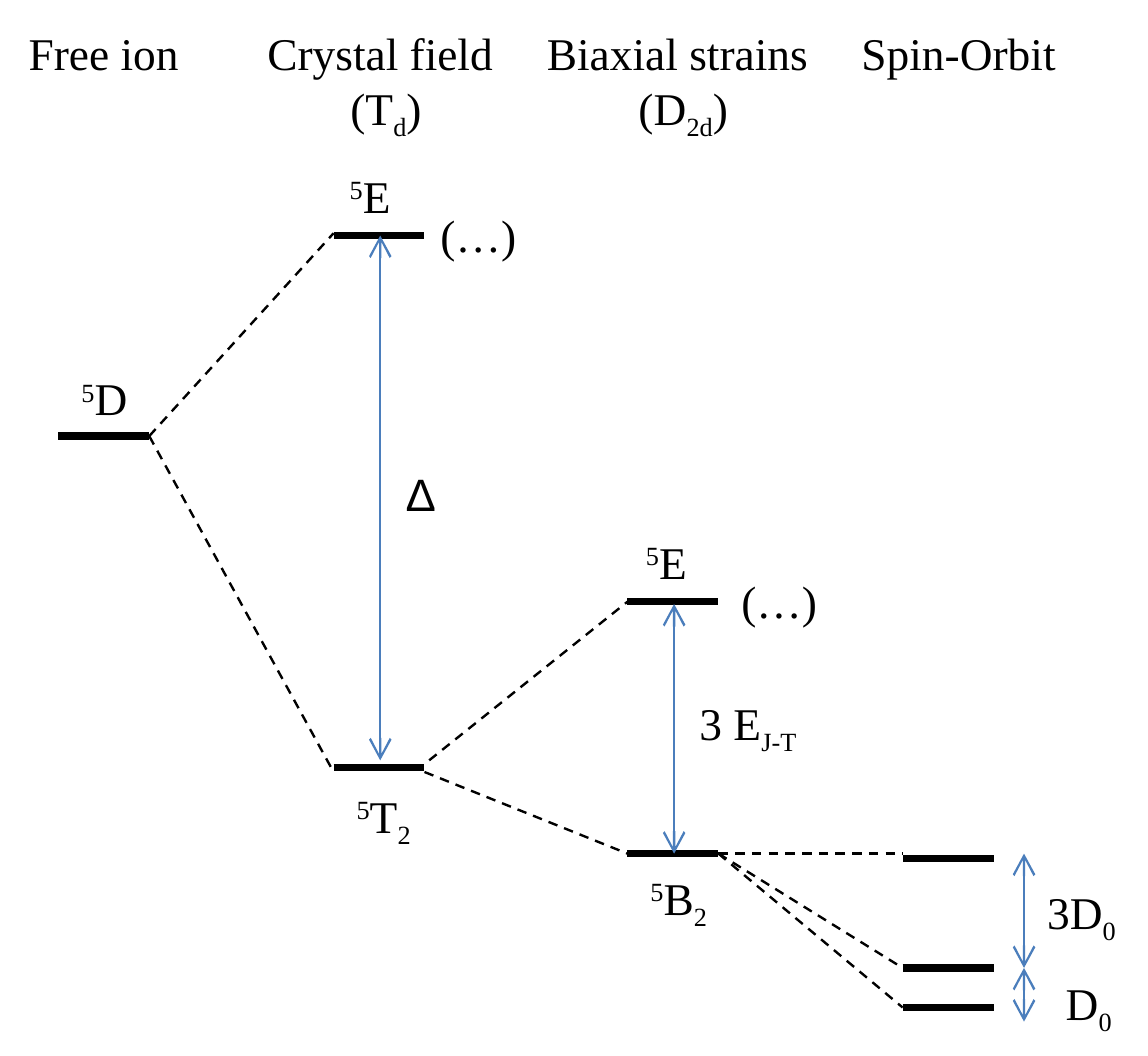
from lxml.etree import SubElement
from pptx import Presentation
from pptx.dml.color import RGBColor
from pptx.enum.dml import MSO_LINE_DASH_STYLE as DASH
from pptx.enum.shapes import MSO_CONNECTOR
from pptx.enum.text import MSO_AUTO_SIZE, PP_ALIGN
from pptx.oxml.ns import qn
from pptx.util import Cm, Inches, Pt

BLACK = RGBColor(0x00, 0x00, 0x00)
BLUE = RGBColor(0x4B, 0x7E, 0xBC)
SERIF, SANS = "Times New Roman", "Arial"
UP, DOWN = 30000, -25000
WIDTH, HEIGHT = Cm(12.5), Cm(11.5)
LEVEL_WIDTH, LINE_HEIGHT = 0.39, 0.34

# Left edge of the energy levels in each column, in inches
FREE, CRYSTAL, STRAIN, SPIN = 0.25, 1.43, 2.69, 3.87

# Energy levels: name -> (column, height on the slide)
LEVELS = {
    "D": (FREE, 1.87),
    "E crystal": (CRYSTAL, 1.01),
    "T2": (CRYSTAL, 3.29),
    "E strain": (STRAIN, 2.58),
    "B2": (STRAIN, 3.66),
    "spin top": (SPIN, 3.68),
    "spin middle": (SPIN, 4.15),
    "spin bottom": (SPIN, 4.32),
}

# Splittings: parent, child, nudge of the start (x, y), nudge of the end (y)
SPLITTINGS = [
    ("D", "E crystal", (0, 0), -0.01),
    ("D", "T2", (0, 0), 0.02),
    ("T2", "E strain", (0.02, -0.03), 0),
    ("T2", "B2", (0, 0.02), 0),
    ("B2", "spin top", (0, 0), -0.02),
    ("B2", "spin middle", (0, 0), 0),
    ("B2", "spin bottom", (0, 0), 0),
]

# Energy gaps: x, top, bottom
GAPS = [(1.63, 1.01, 3.26), (2.89, 2.59, 3.66), (4.39, 3.66, 4.15), (4.39, 4.15, 4.38)]

# Headings: left, width, lines of (text, baseline shift)
HEADINGS = [
    (0.02, 0.85, [[("Free ion", 0)]]),
    (1.04, 1.18, [[("Crystal field", 0)], [(" (T", 0), ("d", DOWN), (")", 0)]]),
    (2.24, 1.33, [[("Biaxial strains", 0)], [(" (D", 0), ("2d", DOWN), (")", 0)]]),
    (3.59, 1.04, [[("Spin-Orbit", 0)]]),
]

# Labels: left, top, width, spans of (text, baseline shift)
LABELS = [
    (1.79, 0.84, 0.53, [("(…)", 0)]),
    (3.08, 2.41, 0.53, [("(…)", 0)]),
    (4.47, 4.13, 0.41, [("D", 0), ("0", DOWN)]),
    (4.39, 3.74, 0.51, [("3D", 0), ("0", DOWN)]),
    (0.25, 1.54, 0.41, [("5", UP), ("D", 0)]),
    (1.40, 0.67, 0.39, [("5", UP), ("E", 0)]),
    (1.43, 3.33, 0.45, [("5", UP), ("T", 0), ("2", DOWN)]),
    (2.69, 3.68, 0.46, [("5", UP), ("B", 0), ("2", DOWN)]),
    (2.67, 2.24, 0.39, [("5", UP), ("E", 0)]),
    (2.90, 2.93, 0.64, [("3 E", 0), ("J-T", DOWN)]),
]
DELTA = (1.64, 1.95, 0.32, [("Δ", 0)])


def add_line(page, start, end, color, weight):
    points = [Inches(value) for value in (*start, *end)]
    line = page.shapes.add_connector(MSO_CONNECTOR.STRAIGHT, *points)
    line.line.color.rgb = color
    line.line.width = Pt(weight)
    SubElement(line._element.spPr, qn("a:effectLst"))
    return line


def add_text(page, left, top, width, height, lines, align, font=SERIF):
    box = page.shapes.add_textbox(Inches(left), Inches(top), Inches(width), Inches(height))
    frame = box.text_frame
    frame.word_wrap = False
    frame.auto_size = MSO_AUTO_SIZE.SHAPE_TO_FIT_TEXT
    for index, spans in enumerate(lines):
        para = frame.add_paragraph() if index else frame.paragraphs[0]
        para.alignment = align
        for text, shift in spans:
            span = para.add_run()
            span.text = text
            span.font.name = font
            span.font.size = Pt(14)
            span.font.color.rgb = BLACK
            if shift:
                span.font._element.set("baseline", str(shift))


def main():
    # Custom slide size, without the 4:3 type of the default deck
    deck = Presentation()
    deck.slide_width, deck.slide_height = WIDTH, HEIGHT
    deck.element.find(qn("p:sldSz")).attrib.pop("type", None)
    page = deck.slides.add_slide(deck.slide_layouts[6])

    # Energy levels
    for x, y in LEVELS.values():
        add_line(page, (x, y), (x + LEVEL_WIDTH, y), BLACK, 2.25)

    # Dashed splittings
    for parent, child, (right, down), end_down in SPLITTINGS:
        (x1, y1), (x2, y2) = LEVELS[parent], LEVELS[child]
        start = (x1 + LEVEL_WIDTH + right, y1 + down)
        line = add_line(page, start, (x2, y2 + end_down), BLACK, 0.75)
        line.line.dash_style = DASH.DASH

    # Headings
    for left, width, lines in HEADINGS:
        height = LINE_HEIGHT + 0.23 * (len(lines) - 1)
        add_text(page, left, 0.06, width, height, lines, PP_ALIGN.CENTER)

    # Double arrows over the energy gaps
    for x, top, bottom in GAPS:
        arrow = add_line(page, (x, top), (x, bottom), BLUE, 0.75)
        outline = arrow.line._get_or_add_ln()
        for end in ("a:headEnd", "a:tailEnd"):
            SubElement(outline, qn(end), type="arrow")

    # Level and gap labels
    for left, top, width, spans in LABELS:
        add_text(page, left, top, width, LINE_HEIGHT, [spans], PP_ALIGN.LEFT)
    left, top, width, spans = DELTA
    add_text(page, left, top, width, LINE_HEIGHT, [spans], PP_ALIGN.LEFT, SANS)

    deck.save("out.pptx")


if __name__ == "__main__":
    main()
